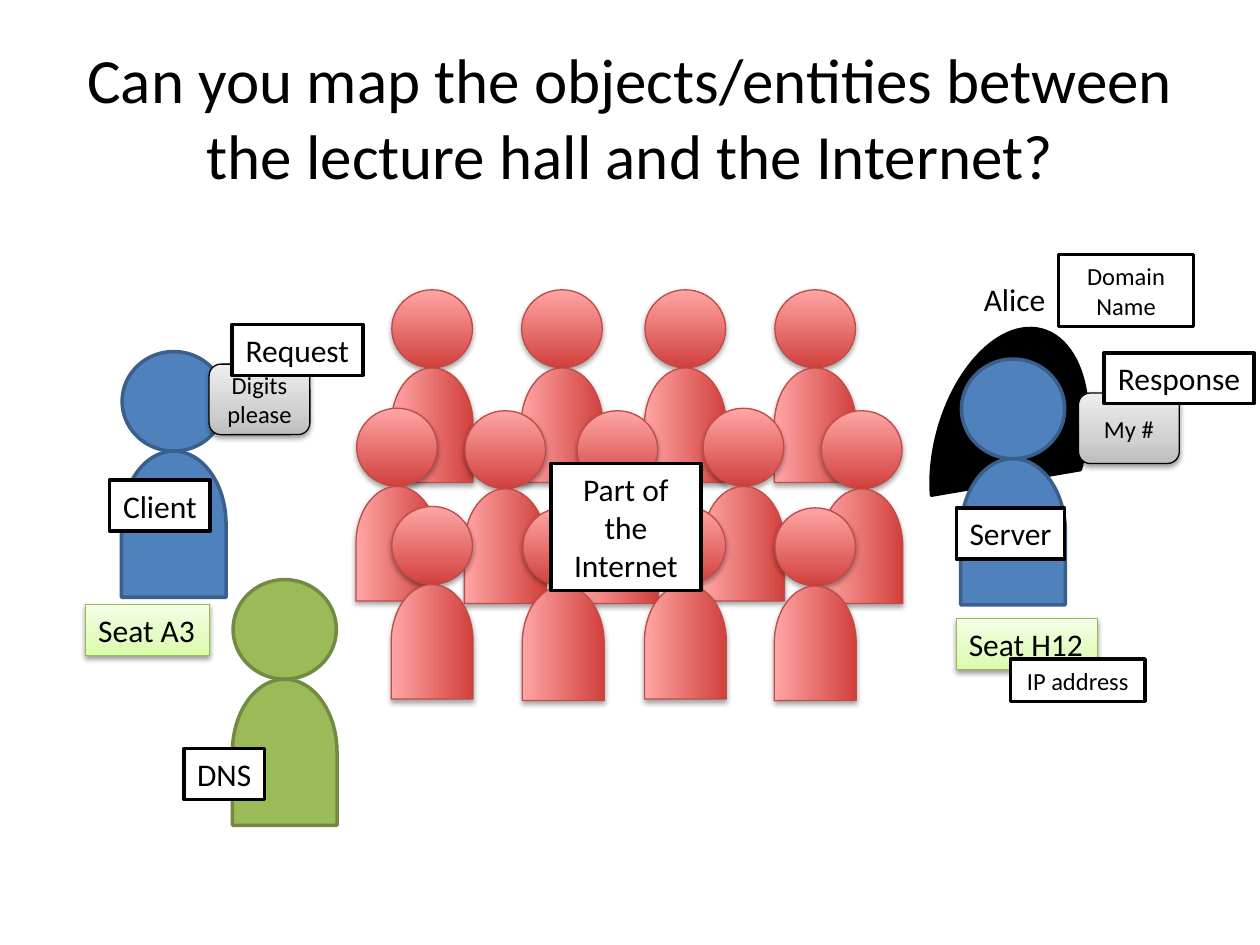
from pptx import Presentation
from pptx.dml.color import RGBColor
from pptx.enum.shapes import MSO_SHAPE
from pptx.enum.text import MSO_ANCHOR, PP_ALIGN
from pptx.oxml import parse_xml
from pptx.oxml.ns import nsdecls
from pptx.util import Pt

TITLE = "Can you map the objects/entities between the lecture hall and the Internet?"
FONT = "Calibri"

# Each style: fill (one colour or gradient stops), line colour, line width, shadow opacity
RED = ([(0, "D1403C"), (100, "FFA6A5")], "BF4C48", 0.75, 35)
GREEN = ("9BBB59", "738A42", 2, 0)
BLUE = ("4F81BD", "3A5F8C", 2, 0)
BLACK = ("000000", "000000", 2, 0)
LABEL = ("FFFFFF", "000000", 2, 0)
SPEECH = ([(0, "BDBDBD"), (35, "D1D1D1"), (100, "EEEEEE")], "000000", 0.75, 38)
SEAT = ([(0, "DAFDA7"), (35, "E4FCC2"), (100, "F5FFE7")], "98B955", 0.75, 38)

# Head positions (left, top) of the audience, back to front
AUDIENCE = [
    (223.9, 165.6), (442.8, 165.6), (368.6, 165.6), (401.8, 233.3), (298.1, 165.6),
    (329.8, 234.7), (469.4, 234.7), (265.7, 234.7), (203.8, 233.3),
    (442.8, 290.2), (298.8, 290.2), (223.9, 289.4), (368.6, 289.4),
]
AUDIENCE_SIZE = (46.1, 44.6, 46.8, 65.5)  # head width, height, body width, height
ACTOR_SIZE = (59, 56.9, 59.8, 83.5)
DNS_HEAD, SERVER_HEAD, CLIENT_HEAD = (133.2, 331.2), (549.4, 205.2), (69.8, 200.9)
HAIR = (505.4, 215.3, 142.6, 84.2)

# text, box, style, size, alignment, wrap
CENTER, LEFT = PP_ALIGN.CENTER, PP_ALIGN.LEFT
SPEECHES = [
    ("Digits please", (119.5, 208.1, 57.6, 40.3), SPEECH, 14, CENTER, True),
    ("My #", (616.3, 224.6, 57.6, 40.3), SPEECH, 14, CENTER, True),
]
LABELS = [
    ("Client", (62.6, 274.3, 57.6, 29.1), LABEL, 18, CENTER, False),
    ("Server", (546.5, 290.2, 61.9, 29.1), LABEL, 18, CENTER, False),
    ("Part of the Internet", (314.8, 264.8, 85.7, 72.7), LABEL, 18, CENTER, True),
    ("DNS", (105.1, 427.7, 46.1, 29.1), LABEL, 18, CENTER, False),
    ("Request", (132.5, 185.4, 74.9, 29.1), LABEL, 18, CENTER, False),
    ("Response", (630.9, 201.6, 85.7, 29.1), LABEL, 18, CENTER, False),
    ("Seat H12", (546.5, 353.5, 80.6, 29.1), SEAT, 18, LEFT, False),
    ("Seat A3", (49, 345.4, 70.6, 29.1), SEAT, 18, LEFT, False),
    ("Domain Name", (605, 145.4, 77, 41.2), LABEL, 14, CENTER, True),
    ("IP address", (577.4, 376.6, 77, 24.2), LABEL, 14, CENTER, True),
]


def rgb(color):
    return RGBColor.from_string(color)


def set_gradient(sp, stops):
    """Fill the shape from its bottom edge (0 %) to its top edge (100 %)."""
    gs = "".join(f'<a:gs pos="{pos * 1000}"><a:srgbClr val="{color}"/></a:gs>'
                 for pos, color in stops)
    sp._element.spPr.find("{*}prstGeom").addnext(parse_xml(
        f'<a:gradFill rotWithShape="1" {nsdecls("a")}><a:gsLst>{gs}</a:gsLst>'
        '<a:lin ang="16200000" scaled="0"/></a:gradFill>'))


def set_shadow(sp, opacity):
    sp.shadow.inherit = False
    if opacity:
        sp._element.spPr.find("{*}effectLst").append(parse_xml(
            f'<a:outerShdw {nsdecls("a")} blurRad="{Pt(3.1)}" dist="{Pt(1.7)}" '
            'dir="5400000" rotWithShape="0"><a:srgbClr val="000000">'
            f'<a:alpha val="{opacity * 1000}"/></a:srgbClr></a:outerShdw>'))


def add_shape(s, kind, box, style, rotation=0):
    fill, line, width, opacity = style
    sp = s.shapes.add_shape(kind, *map(Pt, box))
    sp.rotation = rotation
    if isinstance(fill, str):
        sp.fill.solid()
        sp.fill.fore_color.rgb = rgb(fill)
    else:
        set_gradient(sp, fill)
    sp.line.color.rgb = rgb(line)
    sp.line.width = Pt(width)
    set_shadow(sp, opacity)
    return sp


def add_person(s, head, size, style):
    """A round head on a delay shape turned to stand upright."""
    x, y = head
    head_w, head_h, body_w, body_h = size
    add_shape(s, MSO_SHAPE.OVAL, (x, y, head_w, head_h), style)
    mid_x, mid_y = x + head_w / 2, y + head_h + body_h / 2
    body = (mid_x - body_h / 2, mid_y - body_w / 2, body_h, body_w)
    add_shape(s, MSO_SHAPE.FLOWCHART_DELAY, body, style, 270)


def write(sp, text, size, align, wrap):
    tf = sp.text_frame
    tf.word_wrap = wrap
    tf.vertical_anchor = MSO_ANCHOR.MIDDLE
    p = tf.paragraphs[0]
    p.text = text
    p.alignment = align
    p.font.name = FONT
    p.font.size = Pt(size)
    p.font.color.rgb = rgb("000000")


def add_text(s, text, box, size, align, wrap):
    write(s.shapes.add_textbox(*map(Pt, box)), text, size, align, wrap)


def add_boxes(s, kind, boxes):
    for text, box, style, size, align, wrap in boxes:
        write(add_shape(s, kind, box, style), text, size, align, wrap)


def main():
    prs = Presentation()
    prs.slide_width, prs.slide_height = Pt(720), Pt(540)
    s = prs.slides.add_slide(prs.slide_layouts[6])

    for head in AUDIENCE:
        add_person(s, head, AUDIENCE_SIZE, RED)
    add_text(s, TITLE, (36, 21.6, 648, 90), 36, CENTER, True)
    add_person(s, DNS_HEAD, ACTOR_SIZE, GREEN)
    add_shape(s, MSO_SHAPE.CHORD, HAIR, BLACK, 105.1)
    add_person(s, SERVER_HEAD, ACTOR_SIZE, BLUE)
    add_person(s, CLIENT_HEAD, ACTOR_SIZE, BLUE)
    add_boxes(s, MSO_SHAPE.ROUNDED_RECTANGLE, SPEECHES)
    add_boxes(s, MSO_SHAPE.RECTANGLE, LABELS)
    add_text(s, "Alice", (555.1, 156.2, 50.4, 29.1), 18, LEFT, False)
    prs.save("out.pptx")


if __name__ == "__main__":
    main()
